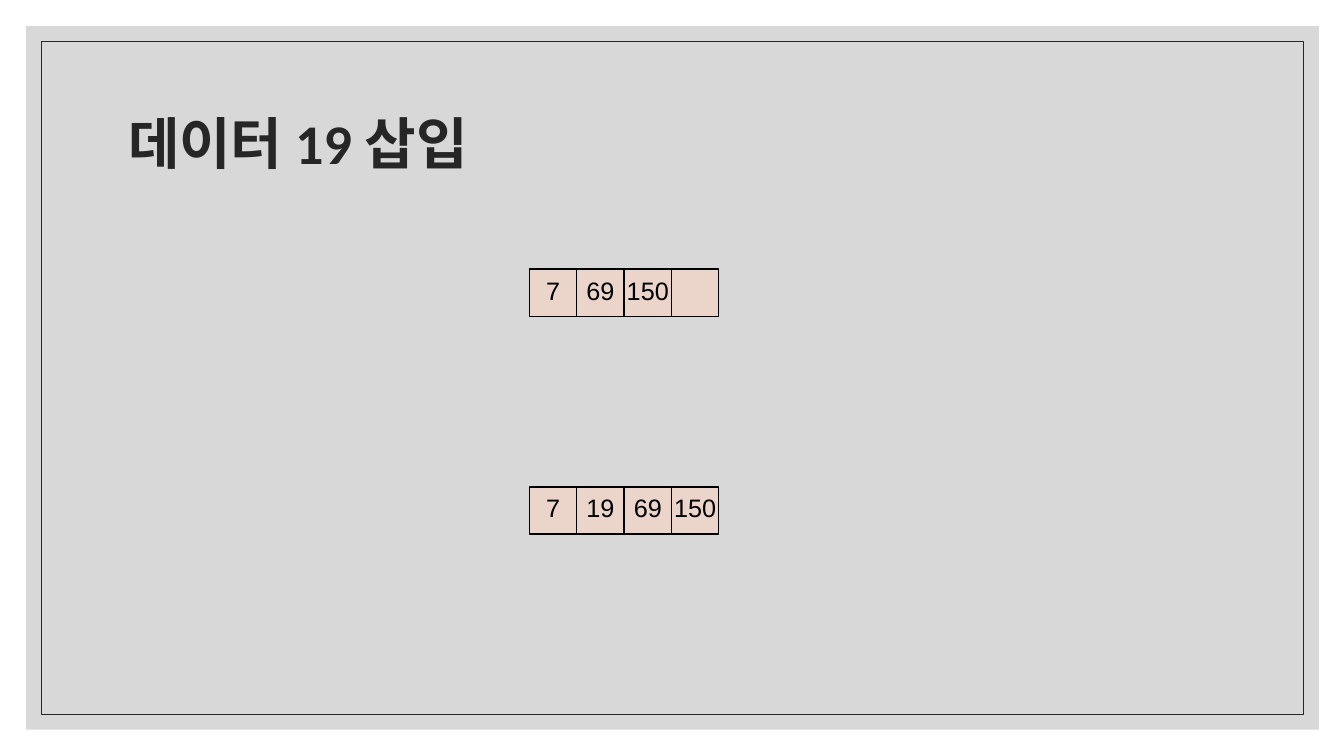
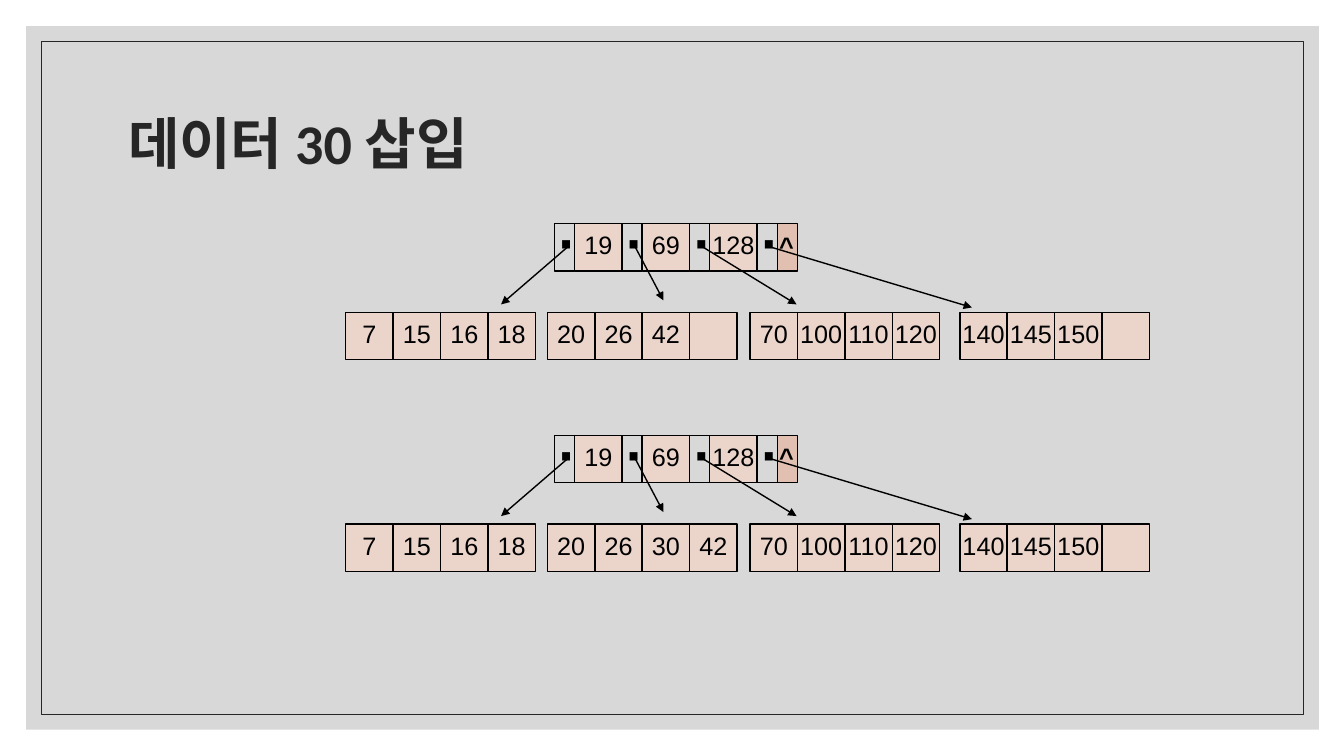
from dataclasses import dataclass
from lxml import etree
from pptx import Presentation
from pptx import util as u
from pptx.dml.color import RGBColor
from pptx.enum import shapes, text
from pptx.oxml import ns

PX = 9144


@dataclass(frozen=True)
class Theme:
    panel: str = "BFBFBF"
    ink: str = "262626"
    line: str = "000000"
    key: str = "EBD5CB"
    end: str = "E1C0B1"
    head: str = "Calibri"
    body: str = "Arial"
    big: int = 40
    small: int = 18


T = Theme()
CELL, SLOT = 47, 20
PITCH = CELL + SLOT
DROP = 88
LEFT = text.PP_ALIGN.LEFT
MID = text.PP_ALIGN.CENTER


def px(*vals):
    return [u.Emu(v * PX) for v in vals]


def rgb(name):
    return RGBColor.from_string(name)


def write(frame, words, size, font, tone, bold=False, align=LEFT, space=0.8):
    para = frame.paragraphs[0]
    para.alignment = align
    para.line_spacing = space
    run = para.add_run()
    run.text = words
    run.font.size = u.Pt(size)
    run.font.name = font
    run.font.bold = bold
    run.font.color.rgb = rgb(tone)


def rect(slide, box, fill=None, line=None, width=1):
    shape = slide.shapes.add_shape(shapes.MSO_SHAPE.RECTANGLE, *px(*box))
    shape.shadow.inherit = False
    if fill:
        shape.fill.solid()
        shape.fill.fore_color.rgb = rgb(fill)
    else:
        shape.fill.background()
    if line:
        shape.line.color.rgb = rgb(line)
        shape.line.width = u.Pt(width)
    else:
        shape.line.fill.background()
    return shape


def cell(slide, x, y, words):
    shape = rect(slide, (x, y, CELL, CELL), T.key, T.line)
    frame = shape.text_frame
    frame.word_wrap = False
    frame.vertical_anchor = text.MSO_ANCHOR.MIDDLE
    if words:
        write(frame, words, T.small, T.body, T.line, align=MID)


def label(slide, box, words, size):
    frame = slide.shapes.add_textbox(*px(*box)).text_frame
    frame.word_wrap = False
    frame.auto_size = text.MSO_AUTO_SIZE.SHAPE_TO_FIT_TEXT
    write(frame, words, size, T.body, T.line, bold=True)


def arrow(slide, start, tip):
    link = slide.shapes.add_connector(
        shapes.MSO_CONNECTOR.STRAIGHT, *px(*start, *tip))
    link.line.color.rgb = rgb(T.line)
    link.line.width = u.Pt(1)
    tail = etree.SubElement(link.line._get_or_add_ln(), ns.qn("a:tailEnd"))
    tail.set("type", "triangle")
    etree.SubElement(link._element.spPr, ns.qn("a:effectLst"))


def node(slide, x, y, keys):
    for i, key in enumerate(keys):
        cell(slide, x + i * CELL, y, key)


def index(slide, x, y, keys, tips):
    stop = x + len(keys) * PITCH
    rect(slide, (stop + SLOT, y, SLOT, CELL), T.end, T.line)
    for i, key in enumerate(keys):
        cell(slide, x + i * PITCH + SLOT, y, key)
    for i, tip in enumerate(tips):
        left = x + i * PITCH
        rect(slide, (left, y, SLOT, CELL), line=T.line)
        label(slide, (left - 6, y - 8, 35, 64), "·", T.big)
        arrow(slide, (left + 13, y + 23), tip)
    label(slide, (stop + SLOT - 8, y + 7, 38, 34), "^", T.small)


def tree(slide, x, y, keys, leaves):
    spots = ((0, 154, 80), (200, 115, 76), (401, 46, 80), (609, 12, 83))
    tips = [(x + left + dx, y + dy) for left, dx, dy in spots]
    index(slide, x + 207, y, keys, tips)
    for (left, _, _), leaf in zip(spots, leaves):
        node(slide, x + left, y + DROP, leaf)


def frame_up(slide, master):
    panel = rect(slide, (26, 26, 1282, 698), T.panel)
    tone = panel._element.spPr.find(".//" + ns.qn("a:srgbClr"))
    etree.SubElement(tone, ns.qn("a:alpha")).set("val", "60000")
    edge = rect(slide, (41, 41, 1252, 668), line=T.ink, width=0.5)
    for i, part in enumerate((panel, edge)):
        part._element.nvSpPr.cNvPr.set("id", str(101 + i))
        master.shapes._spTree.insert(2 + i, part._element)


def page(deck, words):
    slide = deck.slides.add_slide(deck.slide_layouts[5])
    title = slide.shapes.title
    title.left, title.top, title.width, title.height = px(117, 70, 1100, 150)
    frame = title.text_frame
    frame.word_wrap = True
    frame.auto_size = text.MSO_AUTO_SIZE.NONE
    frame.vertical_anchor = text.MSO_ANCHOR.MIDDLE
    write(frame, words, T.big, T.head, T.ink, bold=True, space=0.9)
    return slide


def main():
    deck = Presentation()
    deck.slide_width, deck.slide_height = px(1333, 750)

    first = page(deck, "데이터 19 삽입")
    frame_up(first, deck.slide_master)
    node(first, 525, 267, ("7", "69", "150", ""))
    node(first, 525, 483, ("7", "19", "69", "150"))

    second = page(deck, "데이터 30 삽입")
    steps = ((222, ("20", "26", "42", "")), (432, ("20", "26", "30", "42")))
    for top, leaf in steps:
        tree(second, 343, top, ("19", "69", "128"), (
            ("7", "15", "16", "18"),
            leaf,
            ("70", "100", "110", "120"),
            ("140", "145", "150", ""),
        ))

    deck.save("out.pptx")


if __name__ == "__main__":
    main()
